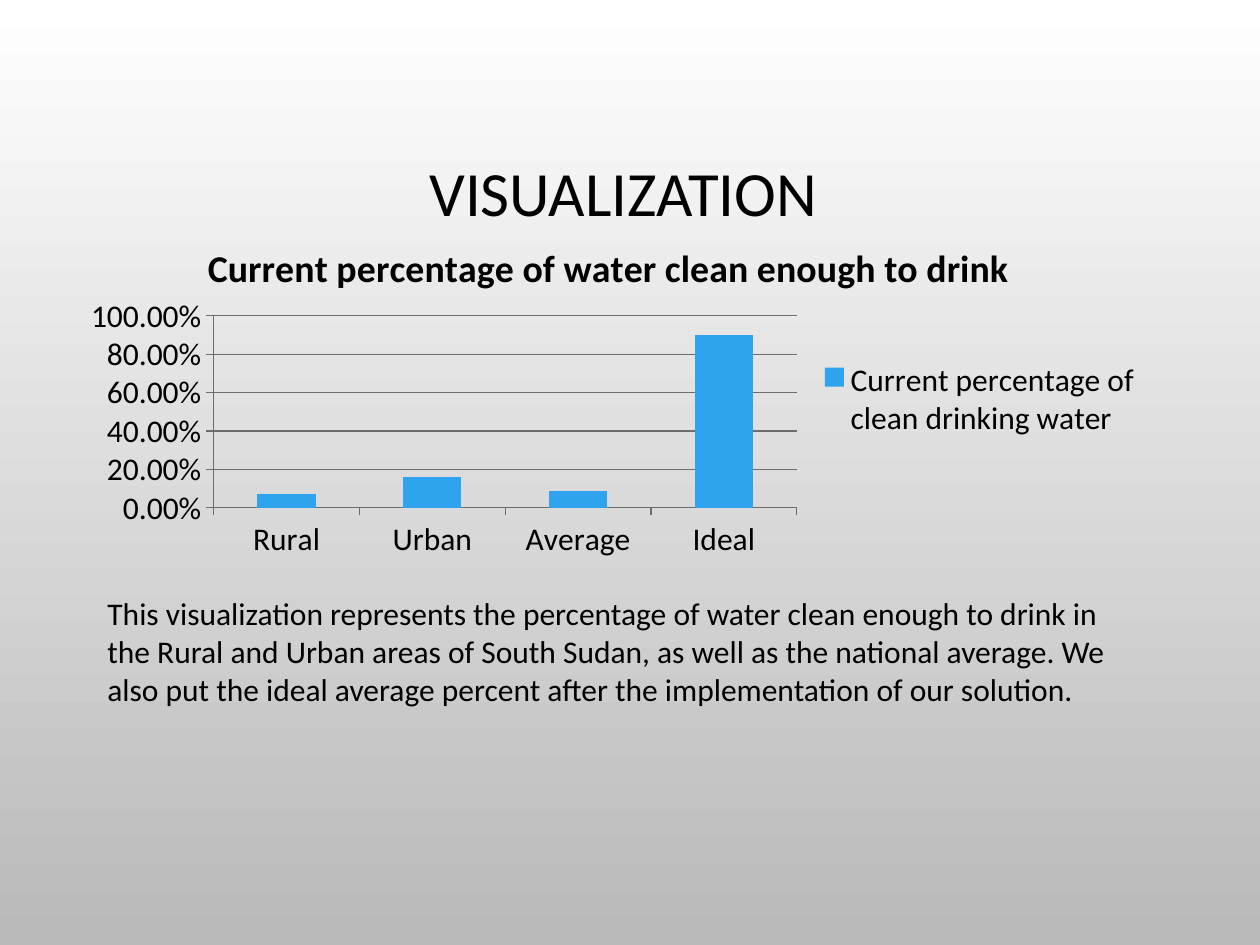
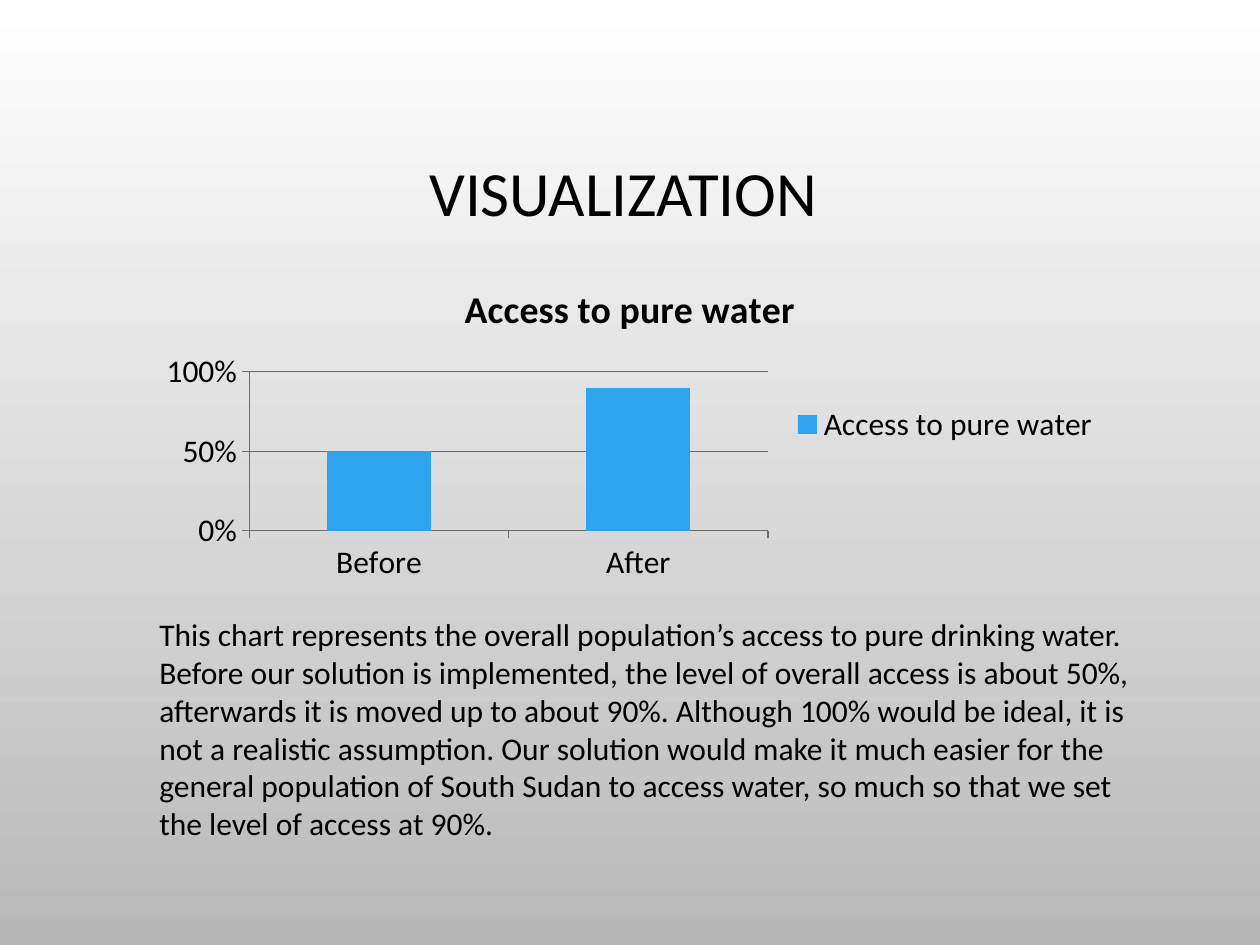
from dataclasses import dataclass

from lxml.etree import SubElement
from pptx import Presentation
from pptx.chart.data import CategoryChartData
from pptx.dml.color import RGBColor
from pptx.enum.chart import XL_CHART_TYPE, XL_LEGEND_POSITION, XL_TICK_MARK
from pptx.enum.text import MSO_ANCHOR, PP_ALIGN
from pptx.oxml.ns import qn
from pptx.util import Emu, Pt


@dataclass(frozen=True)
class Theme:
    """Colours, font and type sizes shared by the slides."""

    font: str = "Calibri"
    ink: RGBColor = RGBColor(0x00, 0x00, 0x00)
    bar: RGBColor = RGBColor(0x2F, 0xA3, 0xEE)
    rule: RGBColor = RGBColor(0x6D, 0x6D, 0x6D)
    backdrop: tuple = (RGBColor(0xFF, 0xFF, 0xFF), RGBColor(0xB9, 0xB9, 0xB9))
    title_size: Pt = Pt(36)
    body_size: Pt = Pt(18)
    chart_title_size: Pt = Pt(21.6)
    rule_width: Pt = Pt(0.75)


THEME = Theme()
PX_PER_INCH = 126
SLIDE_SIZE = (1260, 945)
TITLE_BOX = (95, 86, 1071, 221)

SLIDES = [
    dict(
        chart_box=(63, 221, 1092, 357),
        chart_title="Current percentage of water clean enough to drink",
        series="Current percentage of clean drinking water",
        values={"Rural": 0.07, "Urban": 0.16, "Average": 0.09, "Ideal": 0.9},
        number_format="0.00%",
        step=0.2,
        plot_area=(151, 95, 583, 192),
        note_box=(95, 588, 1040, 127),
        note="This visualization represents the percentage of water clean enough to drink "
        "in the Rural and Urban areas of South Sudan, as well as the national average. "
        "We also put the ideal average percent after the implementation of our solution.",
    ),
    dict(
        chart_box=(147, 262, 966, 325),
        chart_title="Access to pure water",
        series="Access to pure water",
        values={"Before": 0.5, "After": 0.9},
        number_format="0%",
        step=0.5,
        plot_area=(102, 110, 519, 159),
        note_box=(147, 609, 1008, 242),
        note="This chart represents the overall population’s access to pure drinking water. "
        "Before our solution is implemented, the level of overall access is about 50%, "
        "afterwards it is moved up to about 90%. Although 100% would be ideal, it is not "
        "a realistic assumption. Our solution would make it much easier for the general "
        "population of South Sudan to access water, so much so that we set the level of "
        "access at 90%.",
    ),
]


def emu(*lengths):
    """Turn px lengths into EMU."""
    return [Emu(round(n * 914400 / PX_PER_INCH)) for n in lengths]


def style_font(font, size, bold=False):
    """Apply the theme's font and ink."""
    font.name, font.size, font.bold = THEME.font, size, bold
    font.color.rgb = THEME.ink


def style_line(line):
    """Apply the theme's rule to an axis or gridline."""
    line.color.rgb = THEME.rule
    line.width = THEME.rule_width


def add_text(s, box, text, size, anchor=MSO_ANCHOR.TOP):
    """Add a wrapped one-paragraph text box and return its paragraph."""
    tf = s.shapes.add_textbox(*emu(*box)).text_frame
    tf.word_wrap = True
    tf.vertical_anchor = anchor
    p = tf.paragraphs[0]
    r = p.add_run()
    r.text = text
    style_font(r.font, size)
    return p


def add_title(s, box):
    """Add the centred slide title."""
    p = add_text(s, box, "VISUALIZATION ", THEME.title_size, MSO_ANCHOR.MIDDLE)
    p.alignment = PP_ALIGN.CENTER
    p.line_spacing = 0.9


def place_plot(chart, box, plot_area):
    """Fix the inner plot area, given in px from the chart's corner."""
    area = chart._chartSpace.chart.plotArea
    layout = area.find(qn("c:layout"))
    if layout is None:
        layout = SubElement(area, qn("c:layout"))
        area.insert(0, layout)
    manual = SubElement(layout, qn("c:manualLayout"))
    SubElement(manual, qn("c:layoutTarget")).set("val", "inner")
    for side in "xy":
        SubElement(manual, qn(f"c:{side}Mode")).set("val", "edge")
    for name, part, whole in zip("xywh", plot_area, box[2:] * 2):
        SubElement(manual, qn(f"c:{name}")).set("val", f"{part / whole:.3f}")


def add_column_chart(s, box, title, series, values, number_format, step, plot_area):
    """Add a titled column chart of shares with a legend at the right."""
    data = CategoryChartData(number_format=number_format)
    data.categories = list(values)
    data.add_series(series, list(values.values()))
    chart = s.shapes.add_chart(XL_CHART_TYPE.COLUMN_CLUSTERED, *emu(*box), data).chart
    style_font(chart.font, THEME.body_size)

    chart.has_title = True
    r = chart.chart_title.text_frame.paragraphs[0].add_run()
    r.text = title
    style_font(r.font, THEME.chart_title_size, bold=True)
    chart.chart_title.include_in_layout = False

    chart.has_legend = True
    chart.legend.position = XL_LEGEND_POSITION.RIGHT
    chart.legend.include_in_layout = False

    plot = chart.plots[0]
    plot.gap_width = 150
    plot.vary_by_categories = False
    fill = plot.series[0].format.fill
    fill.solid()
    fill.fore_color.rgb = THEME.bar

    for axis in (chart.category_axis, chart.value_axis):
        axis.major_tick_mark = XL_TICK_MARK.OUTSIDE
        style_line(axis.format.line)
    axis = chart.value_axis
    axis.minimum_scale, axis.maximum_scale, axis.major_unit = 0, 1, step
    axis.tick_labels.number_format = number_format
    axis.tick_labels.number_format_is_linked = False
    style_line(axis.major_gridlines.format.line)
    place_plot(chart, box, plot_area)


def add_chart_slide(prs, chart_box, chart_title, series, values, number_format, step,
                    plot_area, note_box, note):
    """Add a slide with the title, a column chart and a note below it."""
    s = prs.slides.add_slide(prs.slide_layouts[6])
    add_title(s, TITLE_BOX)
    add_column_chart(s, chart_box, chart_title, series, values, number_format, step, plot_area)
    add_text(s, note_box, note, THEME.body_size)


def paint_backdrop(prs):
    """Give every slide the vertical gradient through the master."""
    fill = prs.slide_master.background.fill
    fill.gradient()
    fill.gradient_angle = 270
    for position, (stop, color) in enumerate(zip(fill.gradient_stops, THEME.backdrop)):
        stop.position = position
        stop.color.rgb = color


def main():
    """Build and save the presentation."""
    prs = Presentation()
    prs.slide_width, prs.slide_height = emu(*SLIDE_SIZE)
    paint_backdrop(prs)
    for content in SLIDES:
        add_chart_slide(prs, **content)
    prs.save("out.pptx")


if __name__ == "__main__":
    main()
